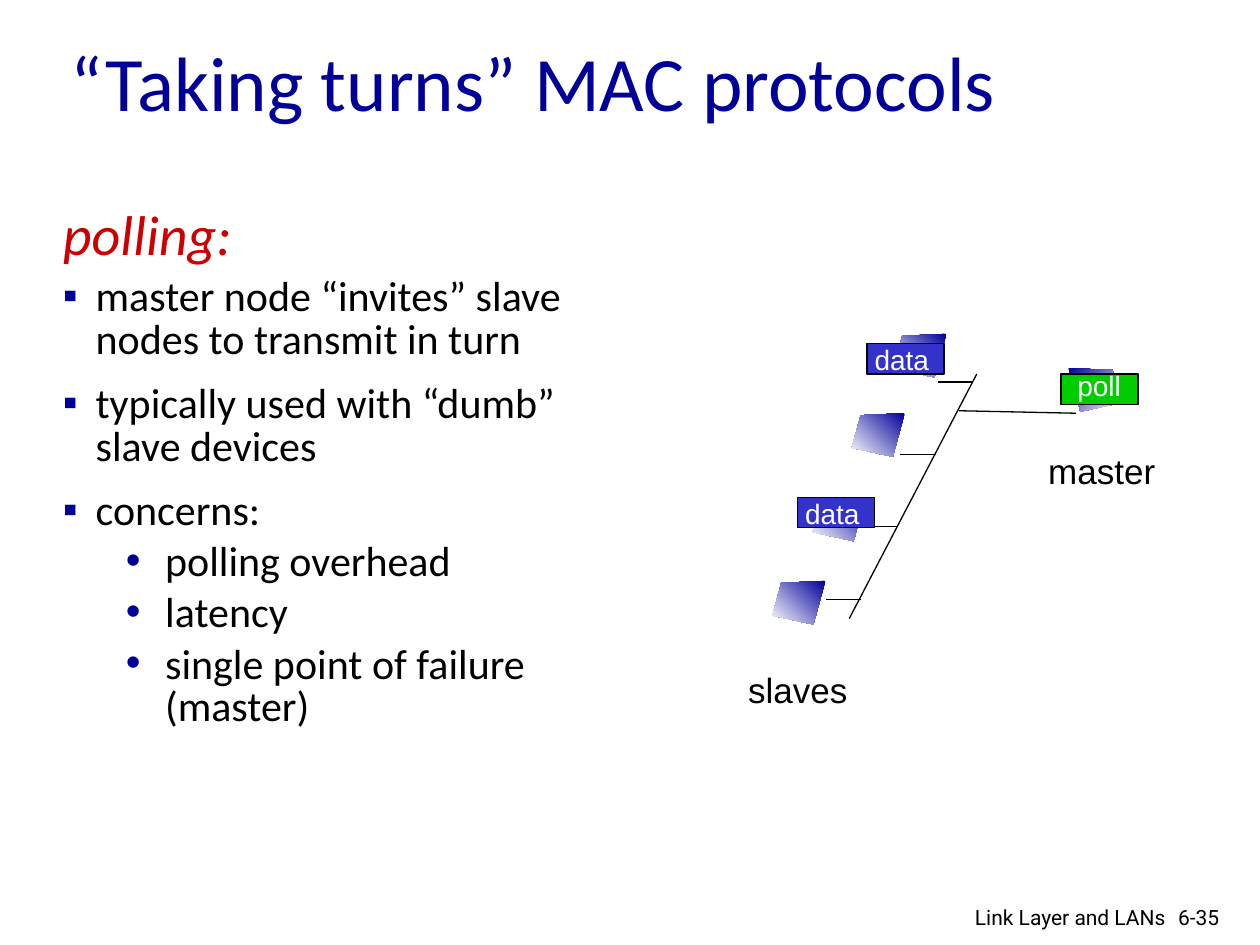
"""Build the slide on polling in "taking turns" MAC protocols."""
import pptx
import pptx.dml.color
import pptx.enum.shapes
import pptx.enum.text
import pptx.oxml.ns
import pptx.util
import lxml.etree

Cm = pptx.util.Cm
Pt = pptx.util.Pt
qn = pptx.oxml.ns.qn
COLORS = {"navy": "000099", "red": "CC0000", "black": "000000",
          "white": "FFFFFF", "green": "00CC00", "blue": "3333CC"}
RGB = {k: pptx.dml.color.RGBColor.from_string(v) for k, v in COLORS.items()}

prs = pptx.Presentation()
prs.slide_width, prs.slide_height = Cm(25.4), Cm(19.05)
s = prs.slides.add_slide(prs.slide_layouts[6])


def add_run(p, text, size, font, color):
    r = p.add_run()
    r.text = text
    r.font.size, r.font.name = Pt(size), font
    r.font.color.rgb = RGB[color]
    return r


def add_text(box, text, size, font, color, wrap=False):
    sp = s.shapes.add_textbox(*[Cm(v) for v in box])
    tf = sp.text_frame
    tf.word_wrap = wrap
    add_run(tf.paragraphs[0], text, size, font, color)
    return tf


NODE = [(107, 0), (18, 4), (0, 70), (83, 88)]
MIRRORED = [(107 - x, y) for x, y in NODE]
nodes = [(15.57, 11.71, NODE, 225), (16.38, 10.03, NODE, 225),
         (17.17, 8.33, NODE, 225), (18.01, 6.73, NODE, 225),
         (21.54, 7.42, MIRRORED, 315)]
for x, y, outline, angle in nodes:
    fb = s.shapes.build_freeform(*outline[0], scale=Cm(0.01))
    fb.add_line_segments(outline[1:], close=True)
    sp = fb.convert_to_shape(Cm(x), Cm(y))
    sp.shadow.inherit = False
    sp.fill.gradient()
    sp.fill.gradient_angle = angle
    for stop, color, pos in zip(sp.fill.gradient_stops, ("navy", "white"), (0, 1)):
        stop.color.rgb = RGB[color]
        stop.position = pos
    sp.line.fill.background()

sp = s.shapes.add_textbox(Cm(1.02), Cm(4.11), Cm(11.73), Cm(14.07))
tf = sp.text_frame
tf.word_wrap = True
p = tf.paragraphs[0]
p.line_spacing = 0.85
add_run(p, "polling:", 32, "Calibri", "red").font.italic = True
points = [("master node “invites” slave nodes to transmit in turn", 0, 6),
          ("typically used with “dumb” slave devices", 0, 12),
          ("concerns:", 0, 12),
          ("polling overhead", 1, 4.8),
          ("latency", 1, 4.8),
          ("single point of failure (master)", 1, 4.8)]
BULLETS = [("▪", 0.66, 0.66), ("•", 2.06, 0.79)]
for text, level, before in points:
    p = tf.add_paragraph()
    char, margin, hang = BULLETS[level]
    pPr = p._p.get_or_add_pPr()
    pPr.set("marL", str(Cm(margin)))
    pPr.set("indent", str(-Cm(hang)))
    clr = lxml.etree.SubElement(pPr, qn("a:buClr"))
    lxml.etree.SubElement(clr, qn("a:srgbClr")).set("val", COLORS["navy"])
    lxml.etree.SubElement(pPr, qn("a:buFont")).set("typeface", "Arial")
    lxml.etree.SubElement(pPr, qn("a:buChar")).set("char", char)
    p.level = level
    p.line_spacing = 0.85
    p.space_before = Pt(before)
    add_run(p, text, 24, "Calibri", "black")

lines = [(19.69, 7.54, 17.12, 12.32 + 0.15), (19.33, 8.28, 21.69, 8.33)]
for i in range(4):
    x, y = 18.9 - 0.75 * i, 7.7 + 1.46 * i
    lines.append((x, y, x + 0.71, y))
for ends in lines:
    ln = s.shapes.add_connector(pptx.enum.shapes.MSO_CONNECTOR.STRAIGHT,
                                *[Cm(v) for v in ends])
    ln.line.color.rgb = RGB["black"]
    ln.line.width = Pt(0.75)
    lxml.etree.SubElement(ln._element.spPr, qn("a:effectLst"))

add_text((20.88, 8.94, 2.67, 1.09), "master", 20, "Arial", "black")
add_text((14.83, 13.36, 2.51, 1.09), "slaves", 20, "Arial", "black")

packets = [("poll", "green", 21.39, 7.54, 0.08, -0.23, 1.4),
           ("data", "blue", 16.08, 10.03, -0.1, -0.15, 1.6),
           ("data", "blue", 17.48, 6.93, -0.1, -0.15, 1.6)]
for text, color, x, y, dx, dy, w in packets:
    sp = s.shapes.add_shape(pptx.enum.shapes.MSO_SHAPE.RECTANGLE,
                            Cm(x), Cm(y), Cm(1.55), Cm(0.61))
    sp.shadow.inherit = False
    sp.fill.solid()
    sp.fill.fore_color.rgb = RGB[color]
    sp.line.color.rgb = RGB["black"]
    sp.line.width = Pt(0.75)
    add_text((x + dx, y + dy, w, 0.94), text, 16, "Arial", "white")

tf = add_text((1.17, 0.53, 21.59, 2.18), "“Taking turns” MAC protocols",
              44, "Calibri", "navy", True)
tf.vertical_anchor = pptx.enum.text.MSO_ANCHOR.MIDDLE
add_text((23.5, 18.11, 1.52, 0.76), "6-35", 12, "Roboto", "black", True)
tf = add_text((17.7, 18.11, 6.05, 0.66), "Link Layer and LANs",
              12, "Roboto", "black", True)
tf.paragraphs[0].alignment = pptx.enum.text.PP_ALIGN.RIGHT

prs.save("out.pptx")
